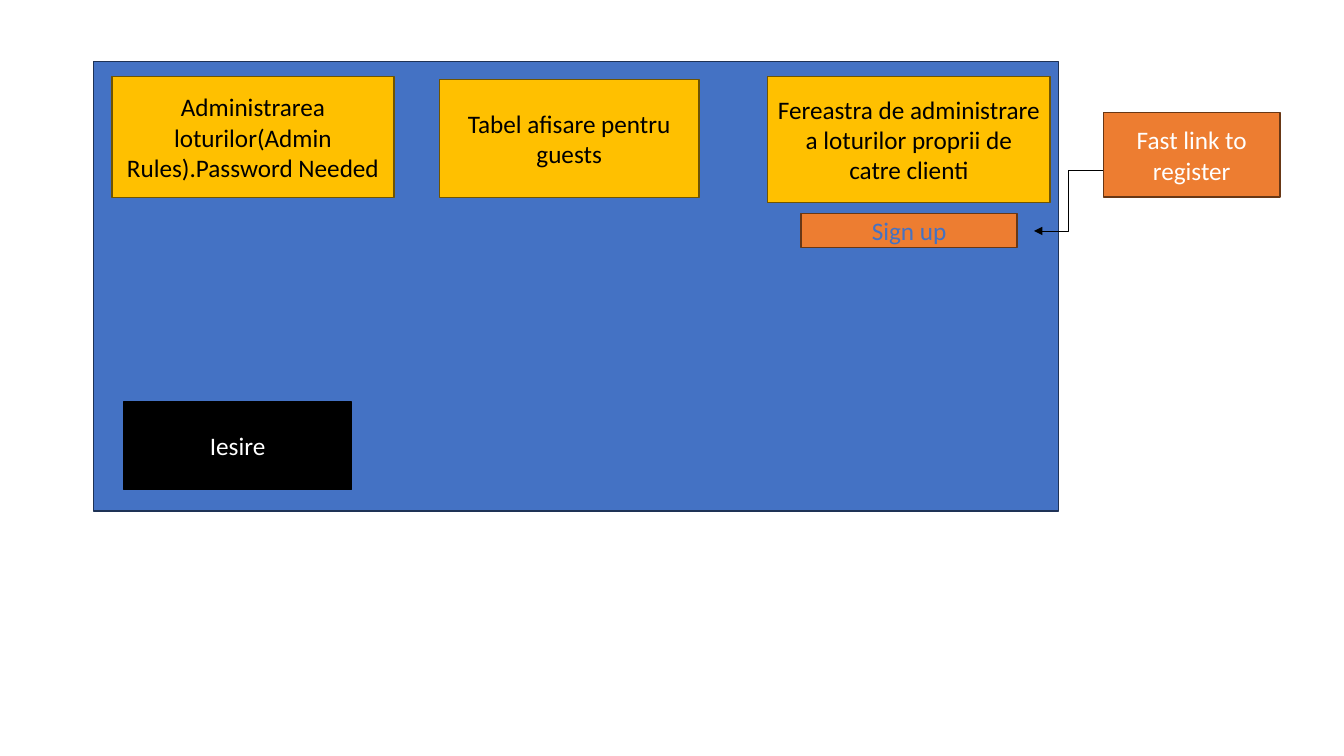
"""Build a slide sketching the main window of a lot administration application."""
from lxml import etree
from pptx import Presentation
from pptx import util as u
from pptx.dml.color import RGBColor
from pptx.enum import shapes, text
from pptx.oxml.ns import qn

BLUE = RGBColor(0x44, 0x72, 0xC4)
DARK_BLUE = RGBColor(0x1E, 0x32, 0x56)
GOLD = RGBColor(0xFF, 0xC0, 0x00)
DARK_GOLD = RGBColor(0x70, 0x54, 0x00)
ORANGE = RGBColor(0xED, 0x7D, 0x31)
DARK_ORANGE = RGBColor(0x68, 0x37, 0x15)
BLACK = RGBColor(0x00, 0x00, 0x00)
WHITE = RGBColor(0xFF, 0xFF, 0xFF)

STYLES = {
    "window": {"fill": BLUE, "line": DARK_BLUE, "font": WHITE},
    "panel": {"fill": GOLD, "line": DARK_GOLD, "font": BLACK},
    "exit": {"fill": BLACK, "line": BLACK, "font": WHITE},
    "sign up": {"fill": ORANGE, "line": DARK_ORANGE, "font": BLUE},
    "link": {"fill": ORANGE, "line": DARK_ORANGE, "font": WHITE},
}

BOXES = [
    ("window", "", 2.36, 1.55, 24.31, 11.33),
    ("panel", "Administrarea loturilor(Admin Rules).Password Needed", 2.82, 1.93, 7.11, 3.05),
    ("panel", "Fereastra de administrare a loturilor proprii de catre clienti", 19.35, 1.93, 7.11, 3.18),
    ("exit", "Iesire", 3.12, 10.13, 5.74, 2.21),
    ("panel", "Tabel afisare pentru guests", 11.07, 2.01, 6.55, 2.97),
    ("sign up", "Sign up", 20.19, 5.38, 5.44, 0.86),
    ("link", "Fast link to register", 27.81, 2.84, 4.45, 2.13),
]

presentation = Presentation()
presentation.slide_width = u.Cm(33.87)
presentation.slide_height = u.Cm(19.05)
slide = presentation.slides.add_slide(presentation.slide_layouts[6])

for style_name, label, *bounds in BOXES:
    style = STYLES[style_name]
    shape = slide.shapes.add_shape(shapes.MSO_SHAPE.RECTANGLE, *map(u.Cm, bounds))
    shape.shadow.inherit = False
    shape.fill.solid()
    shape.fill.fore_color.rgb = style["fill"]
    shape.line.color.rgb = style["line"]
    shape.line.width = u.Pt(1)
    if label:
        frame = shape.text_frame
        frame.word_wrap = True
        frame.vertical_anchor = text.MSO_ANCHOR.MIDDLE
        paragraph = frame.paragraphs[0]
        paragraph.text = label
        paragraph.alignment = text.PP_ALIGN.CENTER
        for name, value in {"name": "Calibri", "size": u.Pt(18)}.items():
            setattr(paragraph.runs[0].font, name, value)
        paragraph.runs[0].font.color.rgb = style["font"]

arrow = slide.shapes.add_connector(
    shapes.MSO_CONNECTOR.ELBOW, u.Cm(27.81), u.Cm(4.29), u.Cm(26.06), u.Cm(5.82)
)
arrow.line.color.rgb = BLACK
arrow.line.width = u.Pt(0.5)
properties = arrow.element.spPr
etree.SubElement(properties.find(qn("a:ln")), qn("a:tailEnd"), type="triangle")
etree.SubElement(properties, qn("a:effectLst"))

presentation.save("out.pptx")
